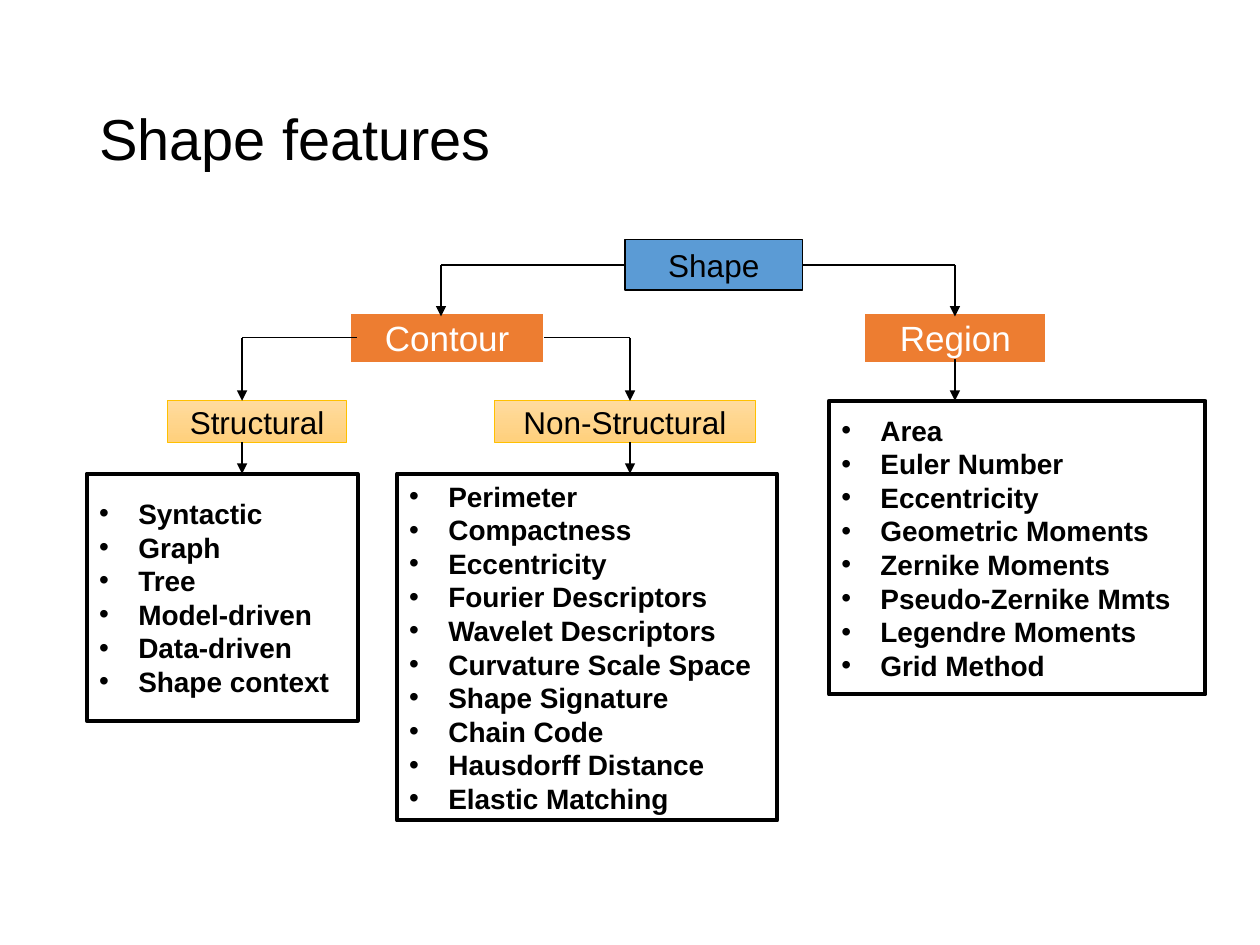
from lxml import etree
from pptx import Presentation
from pptx.dml.color import RGBColor
from pptx.enum.shapes import MSO_CONNECTOR, MSO_SHAPE
from pptx.enum.text import MSO_ANCHOR, PP_ALIGN
from pptx.oxml.ns import qn
from pptx.util import Cm, Pt

RECT = MSO_SHAPE.RECTANGLE
LINE = MSO_CONNECTOR.STRAIGHT
MID = MSO_ANCHOR.MIDDLE
LEFT, CENTER = PP_ALIGN.LEFT, PP_ALIGN.CENTER

BLACK, WHITE = "000000", "FFFFFF"
BLUE, ORANGE, GOLD = "5B9BD5", "ED7D31", "FFC000"
SAND = ("FFDB9E", "FFD07C")


def color(code):
    return RGBColor.from_string(code)


class Chart:
    font = "Arial"
    hang = Cm(0.79)

    def __init__(self, slide):
        self.slide = slide

    def text(self, para, words, size, ink=BLACK, bold=False):
        run = para.add_run()
        run.text = words
        run.font.name = self.font
        run.font.size = Pt(size)
        run.font.bold = bold
        run.font.color.rgb = color(ink)

    def title(self, words, area):
        frame = self.slide.shapes.add_textbox(*map(Cm, area)).text_frame
        frame.word_wrap = True
        frame.vertical_anchor = MID
        para = frame.paragraphs[0]
        para.line_spacing = 0.9
        self.text(para, words, 33)

    def box(self, area, edge, width):
        shape = self.slide.shapes.add_shape(RECT, *map(Cm, area))
        shape.shadow.inherit = False
        shape.line.color.rgb = color(edge)
        shape.line.width = Pt(width)
        shape.text_frame.vertical_anchor = MID
        return shape

    def label(self, words, area, fill, edge, width, size, ink=BLACK):
        shape = self.box(area, edge, width)
        if isinstance(fill, tuple):
            shape.fill.gradient()
            shape.fill.gradient_angle = 270
            for stop, code in zip(shape.fill.gradient_stops, fill):
                stop.color.rgb = color(code)
        else:
            shape.fill.solid()
            shape.fill.fore_color.rgb = color(fill)
        frame = shape.text_frame
        frame.word_wrap = False
        para = frame.paragraphs[0]
        para.alignment = CENTER
        self.text(para, words, size, ink)
        return shape

    def bullets(self, items, area):
        shape = self.box(area, BLACK, 2.25)
        shape.fill.background()
        frame = shape.text_frame
        frame.word_wrap = True
        for num, item in enumerate(items):
            para = frame.add_paragraph() if num else frame.paragraphs[0]
            para.alignment = LEFT
            props = para._p.get_or_add_pPr()
            props.set("marL", str(self.hang))
            props.set("indent", str(-self.hang))
            etree.SubElement(props, qn("a:buFont"), typeface=self.font)
            etree.SubElement(props, qn("a:buChar"), char="•")
            self.text(para, item, 16, bold=True)

    def line(self, start, end, arrow=False):
        link = self.slide.shapes.add_connector(LINE, *map(Cm, start + end))
        link.line.color.rgb = color(BLACK)
        link.line.width = Pt(0.75)
        props = link._element.spPr
        if arrow:
            etree.SubElement(props.find(qn("a:ln")), qn("a:tailEnd"), type="triangle")
        etree.SubElement(props, qn("a:effectLst"))
        return link

    def elbow(self, start, turn, drop, shape=None, side=None):
        bend = (turn, start[1])
        link = self.line(start, bend)
        if shape is not None:
            link.begin_connect(shape, side)
        self.line(bend, (turn, drop), True)


def main():
    deck = Presentation()
    deck.slide_width, deck.slide_height = Cm(25.4), Cm(19.05)
    chart = Chart(deck.slides.add_slide(deck.slide_layouts[6]))

    chart.title("Shape features", (1.75, 1.02, 21.89, 3.68))
    root = chart.label("Shape", (12.6, 4.83, 3.58, 1.02), BLUE, BLACK, 0.75, 18)
    contour, _ = [
        chart.label(words, (left, 6.3, width, 1.02), ORANGE, WHITE, 1.5, 20, WHITE)
        for words, left, width in (("Contour", 7.06, 3.91), ("Region", 17.42, 3.68))
    ]
    for words, left, width in (("Structural", 3.38, 3.61), ("Non-Structural", 9.96, 5.28)):
        chart.label(words, (left, 8.08, width, 0.84), SAND, GOLD, 0.5, 18)

    chart.bullets(
        ("Syntactic", "Graph", "Tree", "Model-driven", "Data-driven", "Shape context"),
        (1.75, 9.55, 5.46, 4.98),
    )
    chart.bullets(
        ("Perimeter", "Compactness", "Eccentricity", "Fourier Descriptors",
         "Wavelet Descriptors", "Curvature Scale Space", "Shape Signature",
         "Chain Code", "Hausdorff Distance", "Elastic Matching"),
        (8, 9.55, 7.67, 6.99),
    )
    chart.bullets(
        ("Area", "Euler Number", "Eccentricity", "Geometric Moments", "Zernike Moments",
         "Pseudo-Zernike Mmts", "Legendre Moments", "Grid Method"),
        (16.71, 8.08, 7.59, 5.92),
    )

    chart.elbow((12.6, 5.34), 8.89, 6.38, root, 1)
    chart.elbow((16.18, 5.34), 19.25, 6.38, root, 3)
    chart.elbow((7.19, 6.81), 4.88, 8.08)
    chart.elbow((10.97, 6.81), 12.7, 8.08, contour, 3)
    for mid, top, end in ((19.25, 7.24, 8.08), (4.88, 8.92, 9.55), (12.7, 8.92, 9.55)):
        chart.line((mid, top), (mid, end), True)

    deck.save("out.pptx")


if __name__ == "__main__":
    main()
